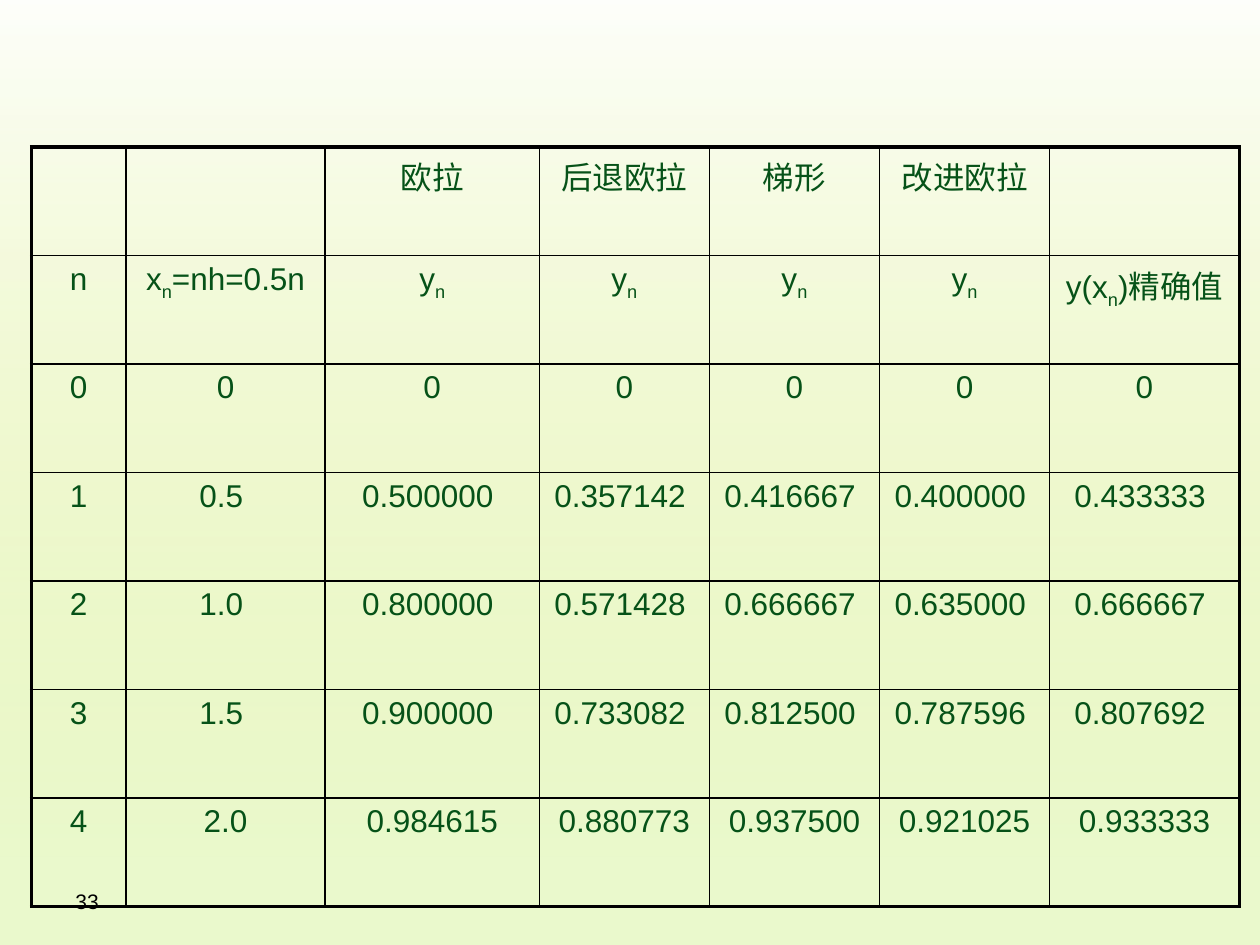
from lxml import etree
from pptx import Presentation
from pptx.dml.color import RGBColor
from pptx.enum.shapes import MSO_SHAPE
from pptx.enum.text import MSO_ANCHOR, PP_ALIGN
from pptx.oxml.ns import qn
from pptx.util import Pt

RECTANGLE = MSO_SHAPE.RECTANGLE
MIDDLE = MSO_ANCHOR.MIDDLE
LEFT, CENTER = PP_ALIGN.LEFT, PP_ALIGN.CENTER

COLORS = {
    "background": "EAF9CC",
    "glow": "EDF3AE",
    "white": "FFFFFF",
    "text": "065218",
    "black": "000000",
}
COLUMN_WIDTHS = [54, 113.8, 122.4, 97.2, 97.2, 97.2, 108.4]
ROW_HEIGHT = 62
ROWS = [
    ["", "", "欧拉", "后退欧拉", "梯形", "改进欧拉", ""],
    ["n", "x_n_=nh=0.5n"] + ["y_n_"] * 4 + ["y(x_n_)精确值"],
    ["0"] * 7,
    ["1", "0.5 ", "0.500000 ", "0.357142 ", "0.416667 ", "0.400000 ", "0.433333 "],
    ["2", "1.0 ", "0.800000 ", "0.571428 ", "0.666667 ", "0.635000 ", "0.666667 "],
    ["3", "1.5 ", "0.900000 ", "0.733082 ", "0.812500 ", "0.787596 ", "0.807692 "],
    ["4", "2.0", "0.984615", "0.880773", "0.937500", "0.921025", "0.933333"],
]


class SlideBuilder:
    """Draws styled elements on one slide, with lengths in points."""

    font = "Arial"
    thin, thick = 1, 2.25

    def __init__(self, slide):
        self.slide = slide

    def color(self, name):
        return RGBColor.from_string(COLORS[name])

    def background(self, name):
        fill = self.slide.background.fill
        fill.solid()
        fill.fore_color.rgb = self.color(name)

    def gradient(self, left, top, width, height, stops):
        shape = self.slide.shapes.add_shape(
            RECTANGLE, Pt(left), Pt(top), Pt(width), Pt(height))
        shape.shadow.inherit = False
        shape.line.fill.background()
        shape.fill.gradient()
        shape.fill.gradient_angle = 90
        for stop, (position, name, opacity) in zip(shape.fill.gradient_stops, stops):
            stop.position = position
            stop.color.rgb = self.color(name)
        for element, (position, name, opacity) in zip(
                shape._element.iter(qn("a:gs")), stops):
            etree.SubElement(element[0], qn("a:alpha"), val=str(opacity * 1000))

    def add_runs(self, paragraph, text, size, name, alignment):
        paragraph.alignment = alignment
        for index, part in enumerate(text.split("_")):
            if not part:
                continue
            run = paragraph.add_run()
            run.text = part
            run.font.size = Pt(size)
            run.font.name = self.font
            run.font.color.rgb = self.color(name)
            if index % 2:
                run._r.get_or_add_rPr().set("baseline", "-25000")

    def text(self, left, top, width, height, text, size, name):
        box = self.slide.shapes.add_textbox(Pt(left), Pt(top), Pt(width), Pt(height))
        frame = box.text_frame
        frame.word_wrap = True
        frame.vertical_anchor = MIDDLE
        self.add_runs(frame.paragraphs[0], text, size, name, LEFT)

    def border(self, cell, side, width):
        properties = cell._tc.get_or_add_tcPr()
        line = etree.SubElement(properties, qn(f"a:ln{side}"), w=str(Pt(width)))
        fill = etree.SubElement(line, qn("a:solidFill"))
        etree.SubElement(fill, qn("a:srgbClr"), val=COLORS["black"])

    def table(self, left, top, widths, row_height, rows, size):
        table = self.slide.shapes.add_table(
            len(rows), len(widths), Pt(left), Pt(top),
            Pt(sum(widths)), Pt(row_height * len(rows))).table
        table.first_row = table.horz_banding = False
        for column, width in zip(table.columns, widths):
            column.width = Pt(width)
        for row_index, row in enumerate(rows):
            table.rows[row_index].height = Pt(row_height)
            for column_index, text in enumerate(row):
                cell = table.cell(row_index, column_index)
                outer = {
                    "L": column_index == 0,
                    "R": column_index == len(widths) - 1,
                    "T": row_index == 0,
                    "B": row_index == len(rows) - 1,
                }
                for side, is_outer in outer.items():
                    self.border(cell, side, self.thick if is_outer else self.thin)
                cell.fill.background()
                paragraph = cell.text_frame.paragraphs[0]
                paragraph.space_before = Pt(size * 0.2)
                self.add_runs(paragraph, text, size, "text", CENTER)


presentation = Presentation()
presentation.slide_width, presentation.slide_height = Pt(720), Pt(540)
builder = SlideBuilder(presentation.slides.add_slide(presentation.slide_layouts[6]))
builder.background("background")
builder.gradient(-0.5, 0, 720.5, 495, [(0.01, "glow", 0), (1, "white", 92)])
builder.table(18, 84, COLUMN_WIDTHS, ROW_HEIGHT, ROWS, 18)
builder.text(36, 500.4, 168, 28.8, "33", 12, "black")
presentation.save("out.pptx")
